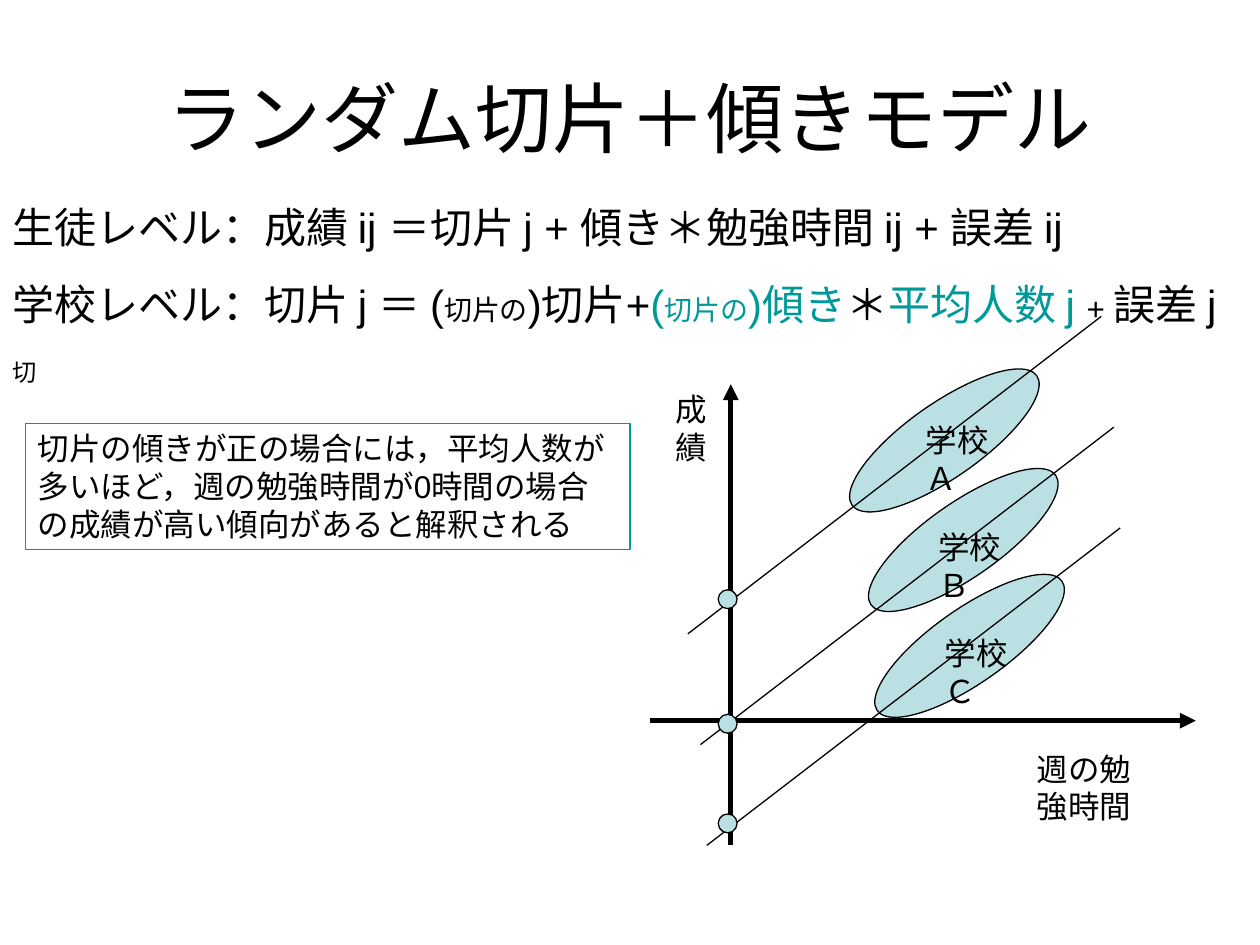
from pptx import Presentation
from pptx.dml.color import RGBColor
from pptx.enum.shapes import MSO_CONNECTOR, MSO_SHAPE
from pptx.enum.text import MSO_ANCHOR, MSO_AUTO_SIZE, PP_ALIGN
from pptx.oxml.ns import qn
from pptx.util import Pt
from lxml import etree

LINE = MSO_CONNECTOR.STRAIGHT
OVAL, RECT = MSO_SHAPE.OVAL, MSO_SHAPE.RECTANGLE
LEFT, CENTER = PP_ALIGN.LEFT, PP_ALIGN.CENTER
TOP, MIDDLE = MSO_ANCHOR.TOP, MSO_ANCHOR.MIDDLE
NO_FIT = MSO_AUTO_SIZE.NONE
BLACK = RGBColor(0x00, 0x00, 0x00)
TEAL = RGBColor(0x00, 0x99, 0x99)
PALE = RGBColor(0xBB, 0xE0, 0xE3)


class Deck:
    """Draws styled elements on the current slide, with lengths in points."""

    font = "Arial"

    def __init__(self, width, height):
        self.prs = Presentation()
        self.prs.slide_width, self.prs.slide_height = Pt(width), Pt(height)
        self.s = None

    def slide(self):
        self.s = self.prs.slides.add_slide(self.prs.slide_layouts[6])

    def fill_text(self, sp, paragraphs, size=18, align=LEFT, anchor=TOP, gap=0):
        tf = sp.text_frame
        frame = {"word_wrap": True, "auto_size": NO_FIT, "vertical_anchor": anchor}
        for name, value in frame.items():
            setattr(tf, name, value)
        for i, runs in enumerate(paragraphs):
            p = tf.add_paragraph() if i else tf.paragraphs[0]
            p.alignment = align
            if i:
                p.space_before = Pt(gap)
            for text, style in runs:
                r = p.add_run()
                r.text = text
                fmt = {"name": self.font, "size": Pt(style.get("size", size))}
                for name, value in fmt.items():
                    setattr(r.font, name, value)
                r.font.color.rgb = style.get("color", BLACK)
                if "baseline" in style:
                    r._r.get_or_add_rPr().set("baseline", str(style["baseline"]))

    def text(self, box, paragraphs, **style):
        sp = self.s.shapes.add_textbox(*map(Pt, box))
        self.fill_text(sp, paragraphs, **style)

    def shape(self, kind, box, fill=None, line=BLACK, rotation=0):
        sp = self.s.shapes.add_shape(kind, *map(Pt, box))
        sp.shadow.inherit = False
        sp.rotation = rotation
        if fill is None:
            sp.fill.background()
        else:
            sp.fill.solid()
            sp.fill.fore_color.rgb = fill
        sp.line.color.rgb = line
        sp.line.width = Pt(0.75)
        return sp

    def line(self, x1, y1, x2, y2, width=0.75, arrow=False):
        c = self.s.shapes.add_connector(LINE, *map(Pt, (x1, y1, x2, y2)))
        c.line.color.rgb = BLACK
        c.line.width = Pt(width)
        sp_pr = c._element.spPr
        if arrow:
            etree.SubElement(sp_pr.get_or_add_ln(), qn("a:tailEnd"), type="triangle")
        etree.SubElement(sp_pr, qn("a:effectLst"))


def main():
    deck = Deck(720, 540)
    deck.slide()

    deck.text((36, 21.6, 648, 90), [[("ランダム切片＋傾きモデル", {})]],
              size=44, align=CENTER, anchor=MIDDLE)

    teal, small = {"color": TEAL}, {"size": 16}
    student = [("生徒レベル：成績 ij ＝切片 j + 傾き＊勉強時間 ij + 誤差 ij", {})]
    school = [
        ("学校レベル：切片 j ＝ (", {}), ("切片の", small), (")切片+", {}),
        ("(", teal), ("切片の", {**teal, **small}), (")傾き", teal),
        ("＊", {}), ("平均人数 j ", teal), ("+ ", {"size": 18}),
        ("誤差 j", {}), ("切", {"baseline": -25000}),
    ]
    deck.text((0, 111.6, 705.6, 160.6), [student, school], size=24, gap=15)

    note = deck.shape(RECT, (14.4, 241.9, 345.6, 72), line=TEAL)
    deck.fill_text(note, [[("切片の傾きが正の場合には，平均人数が多いほど，"
                            "週の勉強時間が0時間の場合の成績が高い傾向があると解釈される", {})]])

    deck.line(371.5, 411.8, 683.3, 411.8, width=3, arrow=True)
    deck.line(417.6, 483.1, 417.6, 219.6, width=3, arrow=True)

    clusters = [(475.2, 230.4), (486, 287.3), (489.6, 347.8)]
    for x, y in clusters:
        deck.shape(OVAL, (x, y, 128.9, 42.5), fill=PALE, rotation=145)

    labels = [
        ("週の勉強時間", 585.4, 424.8, 85.7),
        ("成績", 378.7, 219.6, 25.2),
        ("学校Ａ", 522, 236.9, 57.6),
        ("学校Ｂ", 529.2, 298.1, 57.6),
        ("学校Ｃ", 532.8, 358.6, 56.9),
    ]
    for label, x, y, width in labels:
        deck.text((x, y, width, 50.4), [[(label, {})]])

    run, rise = 236.2, 181.4
    for x, y in [(393.1, 362.2), (400.3, 425.5), (403.9, 483.1)]:
        deck.line(x, y, x + run, y - rise)

    for y in (337, 408.2, 465.1):
        deck.shape(OVAL, (410.4, y, 10.8, 10.8), fill=PALE)

    deck.prs.save("out.pptx")


if __name__ == "__main__":
    main()
